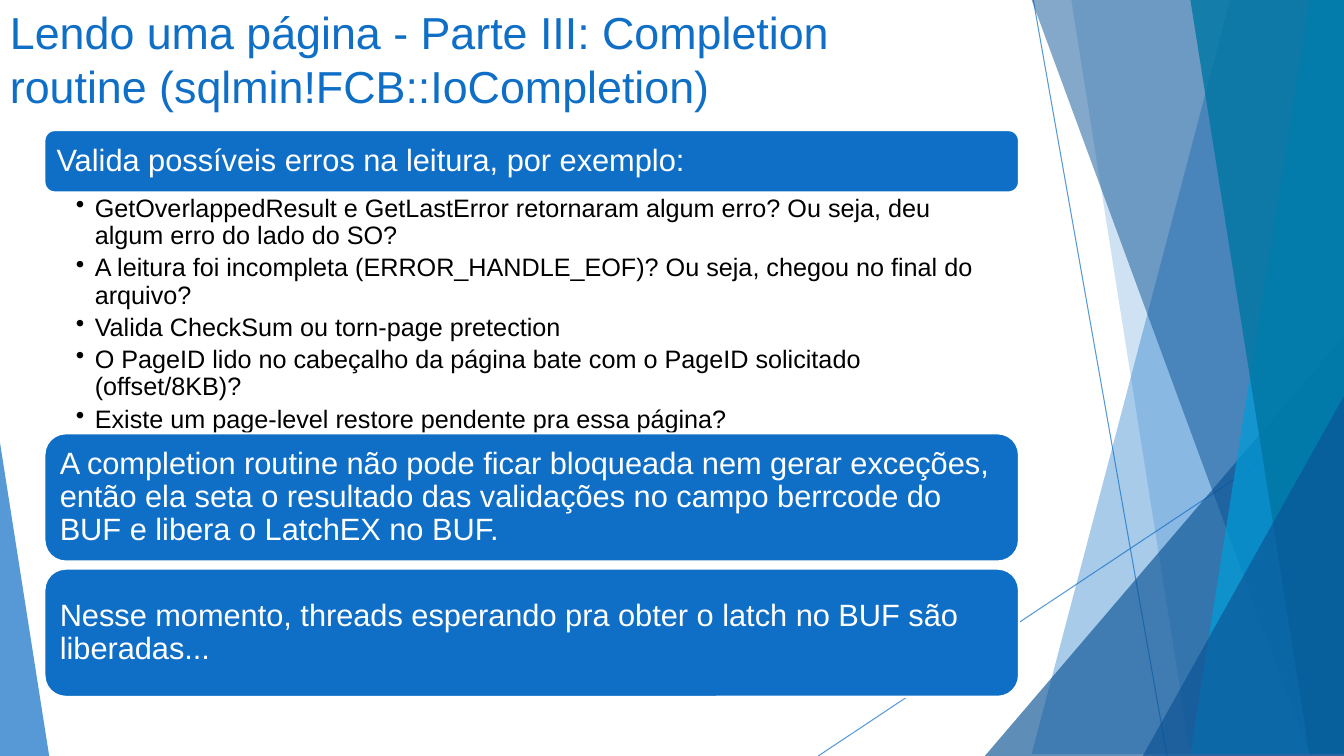
from dataclasses import dataclass

from lxml.etree import SubElement
from pptx import Presentation
from pptx.dml.color import RGBColor
from pptx.enum.shapes import MSO_CONNECTOR, MSO_SHAPE
from pptx.enum.text import MSO_ANCHOR, PP_ALIGN
from pptx.oxml.ns import qn
from pptx.util import Cm, Pt


@dataclass(frozen=True)
class Theme:
    font: str = "Arial"
    blue: str = "0F6FC6"
    navy: str = "0B5394"
    cyan: str = "009DD9"
    teal: str = "0076A3"
    white: str = "FFFFFF"
    black: str = "000000"
    title: float = 32
    head: float = 22
    item: float = 18


@dataclass(frozen=True)
class Box:
    left: float
    top: float
    width: float
    height: float

    def place(self):
        return [Cm(n) for n in (self.left, self.top, self.width, self.height)]


THEME = Theme()


def fade(shape, alpha):
    for tint in shape._element.spPr.iter(qn("a:srgbClr")):
        SubElement(tint, qn("a:alpha")).set("val", str(alpha * 1000))


def paint(shape, color, alpha=100, edge=None):
    shape.shadow.inherit = False
    shape.fill.solid()
    shape.fill.fore_color.rgb = RGBColor.from_string(color)
    if edge:
        shape.line.color.rgb = RGBColor.from_string(edge)
        shape.line.width = Pt(1.5)
    else:
        shape.line.fill.background()
    if alpha < 100:
        fade(shape, alpha)


def write(shape, *texts, size, color, inset, anchor=MSO_ANCHOR.TOP,
          pitch=None, after=None, bullet=None):
    frame = shape.text_frame
    frame.word_wrap = True
    frame.vertical_anchor = anchor
    (frame.margin_left, frame.margin_top,
     frame.margin_right, frame.margin_bottom) = [Cm(n) for n in inset]
    for index, text in enumerate(texts):
        para = frame.paragraphs[0] if index == 0 else frame.add_paragraph()
        para.text = text
        para.alignment = PP_ALIGN.LEFT
        para.line_spacing = pitch
        if after:
            para.space_after = Pt(after)
        if bullet:
            props = para._p.get_or_add_pPr()
            props.set("marL", str(Cm(0.48)))
            props.set("indent", str(-Cm(0.48)))
            SubElement(props, qn("a:buChar")).set("char", bullet)
        para.font.name = THEME.font
        para.font.size = Pt(size)
        para.font.color.rgb = RGBColor.from_string(color)


def draw_line(slide, box, start, end):
    line = slide.shapes.add_connector(
        MSO_CONNECTOR.STRAIGHT,
        Cm(box.left + start[0]), Cm(box.top + start[1]),
        Cm(box.left + end[0]), Cm(box.top + end[1]))
    line.line.color.rgb = RGBColor.from_string(THEME.blue)
    line.line.width = Pt(0.75)
    fade(line, 70)
    SubElement(line._element.spPr, qn("a:effectLst"))


def draw_facet(slide, box, upper, lower, color, alpha):
    pen = slide.shapes.build_freeform(box.left + upper, box.top, scale=Cm(1))
    right, bottom = box.left + box.width, box.top + box.height
    pen.add_line_segments(
        [(right, box.top), (right, bottom), (box.left + lower, bottom)])
    paint(pen.convert_to_shape(), color, alpha)


def draw_wedge(slide, box, peak, color, alpha):
    wedge = slide.shapes.add_shape(MSO_SHAPE.ISOSCELES_TRIANGLE, *box.place())
    wedge.adjustments[0] = peak
    paint(wedge, color, alpha)


def draw_corner(slide, box, left, top):
    part = Box(box.left + left, box.top + top,
               box.width - left, box.height - top)
    draw_wedge(slide, part, 1, THEME.navy, 66)


def draw_side(slide, box):
    draw_line(slide, box, (5.42, 0), (8.79, box.height))
    draw_line(slide, box, (box.width, 10.24), (0, box.height))
    draw_facet(slide, box, 10.57, 4.88, THEME.blue, 36)
    draw_facet(slide, box, 6.05, 9.43, THEME.blue, 20)
    draw_corner(slide, box, 4.2, 8.46)
    draw_facet(slide, box, 5.31, 12.17, THEME.navy, 50)
    draw_facet(slide, box, 12.48, 9.66, THEME.cyan, 70)
    draw_facet(slide, box, 9.76, 12.86, THEME.teal, 80)
    draw_corner(slide, box, 8.18, 9.98)


def draw_title(slide, box, text):
    write(slide.shapes.add_textbox(*box.place()), text, size=THEME.title,
          color=THEME.blue, inset=(0.25, 0.13, 0.25, 0.13))


def draw_card(slide, box, text):
    card = slide.shapes.add_shape(MSO_SHAPE.ROUNDED_RECTANGLE, *box.place())
    paint(card, THEME.blue, edge=THEME.white)
    write(card, text, size=THEME.head, color=THEME.white,
          inset=[0.23] * 4, anchor=MSO_ANCHOR.MIDDLE, pitch=0.9)


def draw_list(slide, box, items):
    write(slide.shapes.add_textbox(*box.place()), *items, size=THEME.item,
          color=THEME.black, inset=(0.79, 0.08, 0.36, 0.08),
          pitch=0.9, after=3.6, bullet="•")


def draw_body(slide, box, head, items, notes):
    bar, tall, gap = 1.57, 3.23, 0.18
    block = box.height - bar - len(notes) * tall - (len(notes) - 1) * gap
    draw_card(slide, Box(box.left, box.top, box.width, bar), head)
    draw_list(slide, Box(box.left, box.top + bar, box.width, block), items)
    for index, note in enumerate(notes):
        top = box.top + bar + block + index * (tall + gap)
        draw_card(slide, Box(box.left, top, box.width, tall), note)


def main():
    deck = Presentation()
    deck.slide_width, deck.slide_height = Cm(33.87), Cm(19.05)
    slide = deck.slides.add_slide(deck.slide_layouts[6])
    draw_side(slide, Box(20.62, 0, 13.25, 19.05))
    draw_wedge(slide, Box(0, 11.15, 1.24, 7.9), 0, THEME.blue, 70)
    draw_title(
        slide, Box(0, 0, 24.56, 3.66),
        "Lendo uma página - Parte III: Completion routine "
        "(sqlmin!FCB::IoCompletion)")
    draw_body(
        slide, Box(1.12, 3.28, 24.56, 14.28),
        "Valida possíveis erros na leitura, por exemplo:",
        ["GetOverlappedResult e GetLastError retornaram algum erro? "
         "Ou seja, deu algum erro do lado do SO?",
         "A leitura foi incompleta (ERROR_HANDLE_EOF)? "
         "Ou seja, chegou no final do arquivo?",
         "Valida CheckSum ou torn-page pretection",
         "O PageID lido no cabeçalho da página bate com o PageID "
         "solicitado (offset/8KB)?",
         "Existe um page-level restore pendente pra essa página?"],
        ["A completion routine não pode ficar bloqueada nem gerar exceções, "
         "então ela seta o resultado das validações no campo berrcode do BUF "
         "e libera o LatchEX no BUF.",
         "Nesse momento, threads esperando pra obter o latch no BUF são "
         "liberadas..."])
    deck.save("out.pptx")


if __name__ == "__main__":
    main()
